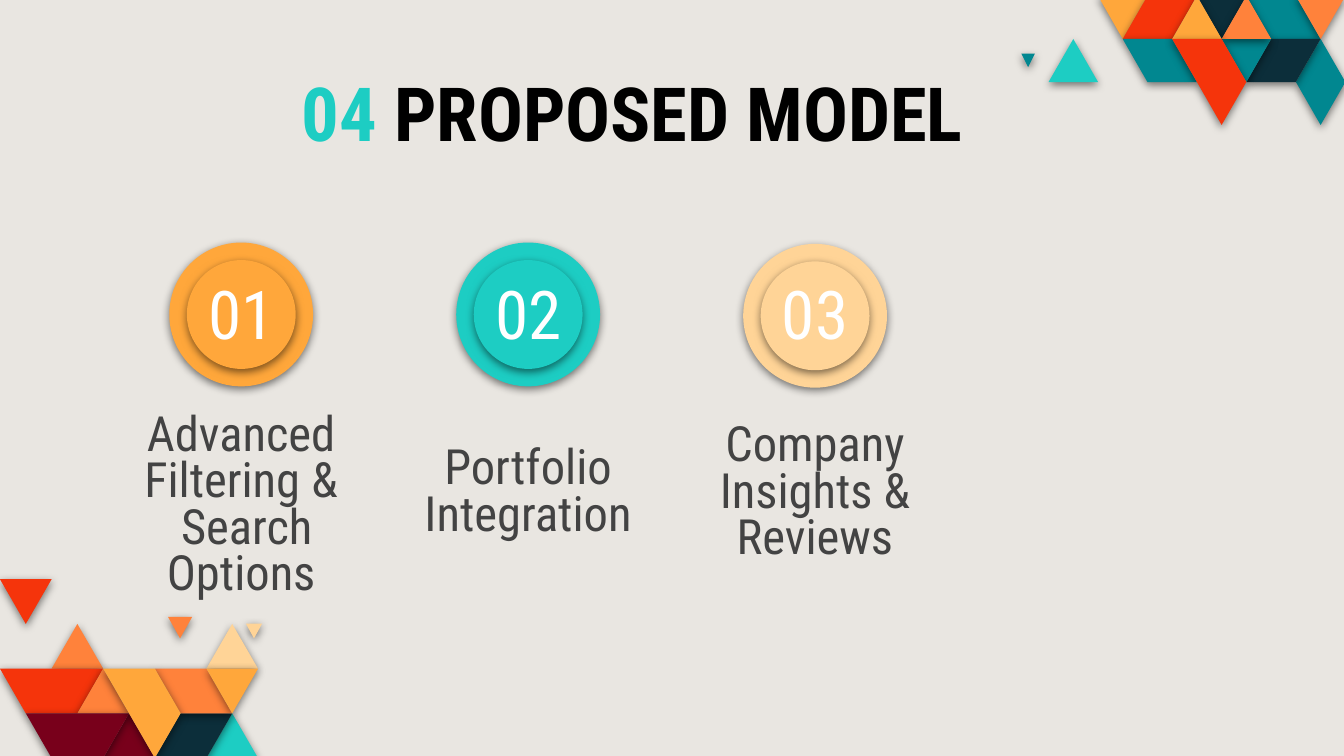
"""Build the "Proposed Model" slide with its three numbered features."""
import pptx
import pptx.dml.color
import pptx.enum.shapes
import pptx.enum.text
import pptx.oxml
import pptx.oxml.ns
import pptx.util

Inches = pptx.util.Inches
COLOURS = {
    "background": "E9E6E1", "black": "000000", "white": "FFFFFF", "grey": "434343",
    "red": "F5340B", "maroon": "78001B", "orange": "FF823B", "amber": "FFA73B",
    "sand": "FFD497", "aqua": "1DCDC3", "teal": "018790", "navy": "0C2E3A",
}
SHADOW = (
    f'<a:effectLst {pptx.oxml.ns.nsdecls("a")}><a:outerShdw blurRad="57150" dist="19050" '
    'dir="5400000" algn="bl" rotWithShape="0"><a:srgbClr val="000000">'
    '<a:alpha val="50000"/></a:srgbClr></a:outerShdw></a:effectLst>'
)


class SlideBuilder:
    """Holds the style and the current slide."""

    def __init__(self, slide):
        self.slide = slide
        self.font = "Roboto Condensed"
        fill = slide.background.fill
        fill.solid()
        fill.fore_color.rgb = self.colour("background")

    def colour(self, name):
        return pptx.dml.color.RGBColor.from_string(COLOURS[name])

    def paint(self, shape, colour):
        shape.fill.solid()
        shape.fill.fore_color.rgb = self.colour(colour)
        shape.line.fill.background()
        shape._element.spPr.append(pptx.oxml.parse_xml(SHADOW))

    def tile(self, colour, points):
        corners = [(Inches(x), Inches(y)) for x, y in points]
        outline = self.slide.shapes.build_freeform(*corners[0])
        outline.add_line_segments(corners[1:], close=True)
        self.paint(outline.convert_to_shape(), colour)

    def mosaic(self, left, top, column, row, tiles):
        for colour, nodes in tiles:
            self.tile(colour, [(left + i * column, top + j * row) for i, j in nodes])

    def disc(self, colour, centre_x, centre_y, size):
        circle = self.slide.shapes.add_shape(
            pptx.enum.shapes.MSO_SHAPE.OVAL, Inches(centre_x - size / 2),
            Inches(centre_y - size / 2), Inches(size), Inches(size))
        self.paint(circle, colour)

    def text(self, box, runs, size, frame_format, bold=False, spacing=1.0):
        frame = self.slide.shapes.add_textbox(*map(Inches, box)).text_frame
        for key, value in ({"word_wrap": True} | frame_format).items():
            setattr(frame, key, value)
        paragraph = frame.paragraphs[0]
        paragraph.alignment = pptx.enum.text.PP_ALIGN.CENTER
        paragraph.line_spacing = spacing
        for lines, colour in runs:
            for number, line in enumerate(lines.split("\n")):
                if number:
                    paragraph.add_line_break()
                font = self.style(paragraph.add_run(), line, size, bold)
                font.color.rgb = self.colour(colour)

    def style(self, run, words, size, bold):
        run.text = words
        font_format = {"name": self.font, "size": pptx.util.Pt(size), "bold": bold}
        for key, value in font_format.items():
            setattr(run.font, key, value)
        return run.font


LOWER_TILES = [
    ("maroon", [(6, 4), (5, 3), (4, 4)]),
    ("aqua", [(10, 4), (9, 3), (8, 4)]),
    ("navy", [(9, 3), (7, 3), (6, 4), (8, 4)]),
    ("sand", [(10, 2), (9, 1), (8, 2)]),
    ("orange", [(9, 3), (8, 2), (6, 2), (7, 3)]),
    ("amber", [(10, 2), (8, 2), (9, 3)]),
    ("orange", [(4, 2), (3, 1), (2, 2)]),
    ("red", [(2, 0), (0, 0), (1, 1)]),
    ("red", [(4, 2), (0, 2), (1, 3), (3, 3)]),
    ("orange", [(5, 3), (4, 2), (3, 3)]),
    ("maroon", [(5, 3), (1, 3), (2, 4), (4, 4)]),
    ("amber", [(7, 3), (6, 2), (4, 2), (6, 4)]),
]
UPPER_TILES = [
    ("amber", [(0, 0), (1, 1), (2, 0)]),
    ("red", [(1, 1), (3, 1), (4, 0), (2, 0)]),
    ("teal", [(6, 0), (7, 1), (9, 1), (8, 0)]),
    ("orange", [(8, 0), (9, 1), (10, 0)]),
    ("navy", [(4, 0), (5, 1), (6, 0)]),
    ("teal", [(1, 1), (2, 2), (4, 2), (3, 1)]),
    ("aqua", [(-2, 2), (0, 2), (-1, 1)]),
    ("teal", [(8, 2), (9, 3), (10, 2), (9, 1)]),
    ("navy", [(6, 2), (8, 2), (9, 1), (7, 1)]),
    ("teal", [(5, 1), (6, 2), (7, 1)]),
    ("orange", [(5, 1), (7, 1), (6, 0)]),
    ("amber", [(3, 1), (5, 1), (4, 0)]),
    ("red", [(3, 1), (5, 3), (6, 2), (5, 1)]),
]
SMALL_TILES = [
    ("orange", [(1.43, 4.59), (1.25, 4.59), (1.34, 4.75)]),
    ("sand", [(1.95, 4.64), (1.83, 4.64), (1.89, 4.75)]),
    ("teal", [(7.6, 0.4), (7.65, 0.5), (7.7, 0.4)]),
]
FEATURES = [
    ("01", "Advanced Filtering &\n Search Options", "amber", 2.34, 2.98, 0.1),
    ("02", "Portfolio Integration", "aqua", 2.34, 2.88, 0.45),
    ("03", "Company Insights &\nReviews", "sand", 2.35, 3.06, 0.1),
]


def main():
    deck = pptx.Presentation()
    deck.slide_width, deck.slide_height = Inches(10), Inches(10 * 9 / 16)
    builder = SlideBuilder(deck.slides.add_slide(deck.slide_layouts[6]))
    builder.mosaic(0, 4.31, 1.92 / 10, 1.33 / 4, LOWER_TILES)
    builder.mosaic(8.17, -0.03, 1.84 / 10, 0.96 / 3, UPPER_TILES)
    for colour, points in SMALL_TILES:
        builder.tile(colour, points)

    title_format = {"auto_size": pptx.enum.text.MSO_AUTO_SIZE.SHAPE_TO_FIT_TEXT}
    builder.text((1.08, 0.45, 7.25, 0.77), [("04", "aqua"), (" PROPOSED MODEL", "black")],
                 40, title_format, bold=True)

    width, height = 2.01, 0.63
    number_format = {"vertical_anchor": pptx.enum.text.MSO_ANCHOR.MIDDLE,
                     "margin_top": Inches(0.1), "margin_bottom": 0}
    for index, (number, caption, colour, centre_y, top, inset) in enumerate(FEATURES):
        left = 0.79 + index * 4.27 / 2
        for size in (1.07, 0.81):
            builder.disc(colour, left + width / 2, centre_y, size)
        builder.text((left, 2.02, width, height), [(number, "white")], 36,
                     number_format, spacing=0.8)
        caption_format = {"margin_top": Inches(inset), "margin_bottom": Inches(0.1)}
        builder.text((left, top, width, height), [(caption, "grey")], 26,
                     caption_format, spacing=0.8)
    deck.save("out.pptx")


if __name__ == "__main__":
    main()
